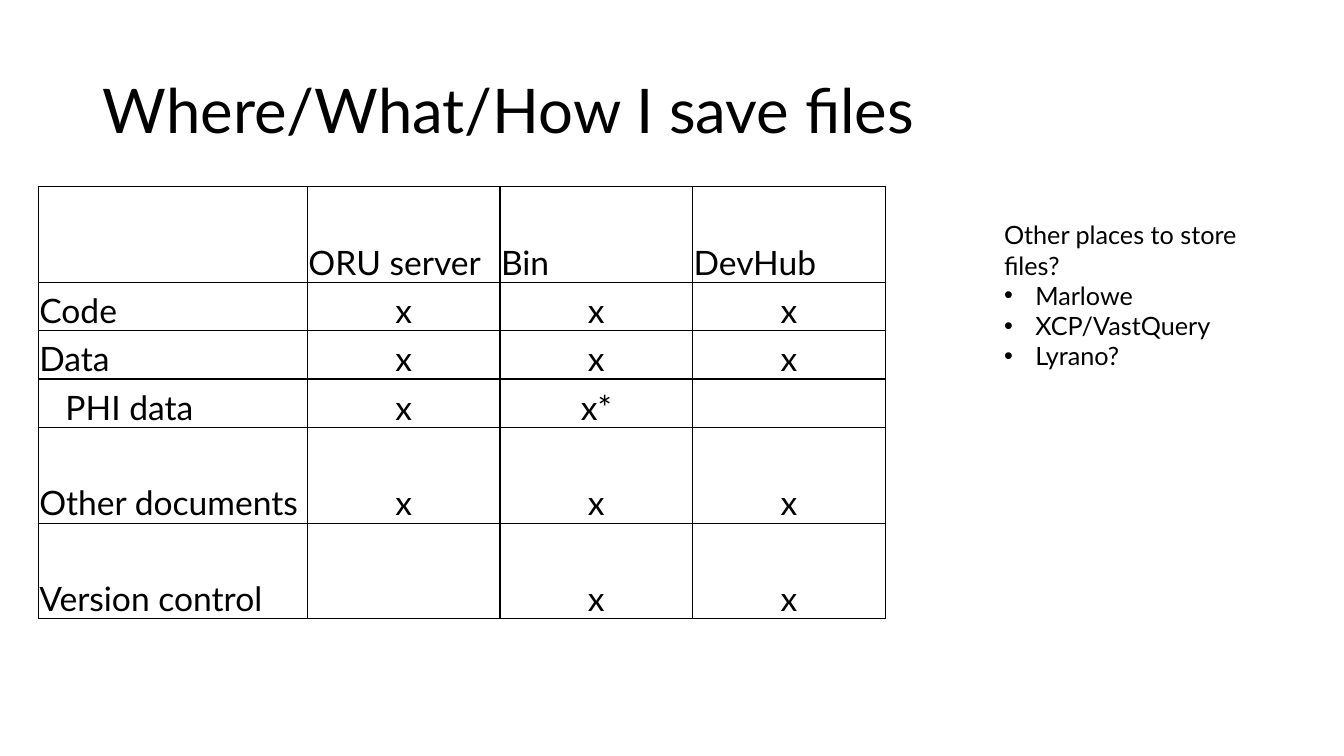
from lxml import etree
from pptx import Presentation
from pptx.dml.color import RGBColor
from pptx.enum import text
from pptx.oxml import ns
from pptx.util import Inches, Pt

BLACK = RGBColor(0x00, 0x00, 0x00)
FONT = "Lato"
COLUMN_WIDTHS = [2.67, 1.91, 1.91, 1.91]
ROW_HEIGHTS = [0.95, 0.48, 0.48, 0.48, 0.95, 0.95]
STORAGE = [
    ["", "ORU server", "Bin", "DevHub"],
    ["Code", "x", "x", "x"],
    ["Data", "x", "x", "x"],
    ["PHI data", "x", "x*", ""],
    ["Other documents", "x", "x", "x"],
    ["Version control", "", "x", "x"],
]
INDENTED_ROW = "PHI data"
OTHER_PLACES = ["Marlowe", "XCP/VastQuery", "Lyrano?"]


def write(paragraph, words, size, align=text.PP_ALIGN.LEFT, spacing=1.0):
    paragraph.alignment = align
    paragraph.line_spacing = spacing
    run = paragraph.add_run()
    run.text = words
    run.font.name = FONT
    run.font.size = Pt(size)
    run.font.color.rgb = BLACK


def add_text_frame(slide, left, top, width, height, anchor=text.MSO_ANCHOR.TOP):
    shape = slide.shapes.add_textbox(
        Inches(left), Inches(top), Inches(width), Inches(height))
    frame = shape.text_frame
    frame.word_wrap = True
    frame.vertical_anchor = anchor
    return frame


def add_bullet(paragraph, indent):
    properties = paragraph._p.get_or_add_pPr()
    properties.set("marL", str(Inches(indent)))
    properties.set("indent", str(-Inches(indent)))
    etree.SubElement(properties, ns.qn("a:buFont"), typeface="Arial")
    etree.SubElement(properties, ns.qn("a:buChar"), char="•")


def add_borders(cell):
    properties = cell._tc.get_or_add_tcPr()
    for position, side in enumerate(("a:lnL", "a:lnR", "a:lnT", "a:lnB")):
        line = etree.Element(ns.qn(side), w=str(Pt(1)))
        fill = etree.SubElement(line, ns.qn("a:solidFill"))
        etree.SubElement(fill, ns.qn("a:srgbClr"), val=str(BLACK))
        properties.insert(position, line)


def format_cell(cell, words, centred):
    cell.fill.background()
    cell.vertical_anchor = text.MSO_ANCHOR.BOTTOM
    cell.margin_left = Inches(0.27 if words == INDENTED_ROW else 0.01)
    cell.margin_right = cell.margin_top = Inches(0.01)
    cell.margin_bottom = Inches(0)
    add_borders(cell)
    if words:
        align = text.PP_ALIGN.CENTER if centred else text.PP_ALIGN.LEFT
        write(cell.text_frame.paragraphs[0], words, 24, align=align)


def add_storage_table(slide):
    table = slide.shapes.add_table(
        len(ROW_HEIGHTS), len(COLUMN_WIDTHS), Inches(0.38), Inches(1.85),
        Inches(sum(COLUMN_WIDTHS)), Inches(sum(ROW_HEIGHTS))).table
    table.first_row = table.horz_banding = False
    for column, width in zip(table.columns, COLUMN_WIDTHS):
        column.width = Inches(width)
    for row, height in zip(table.rows, ROW_HEIGHTS):
        row.height = Inches(height)
    for row, values in enumerate(STORAGE):
        for column, words in enumerate(values):
            format_cell(table.cell(row, column), words, row > 0 and column > 0)


def add_other_places(slide):
    frame = add_text_frame(slide, 9.86, 2.13, 3.11, 1.31)
    frame.margin_right = Inches(0.3)
    write(frame.paragraphs[0], "Other places to store files?", 18)
    for place in OTHER_PLACES:
        paragraph = frame.add_paragraph()
        write(paragraph, place, 18)
        add_bullet(paragraph, 0.31)


def main():
    presentation = Presentation()
    presentation.slide_width = Inches(13.33)
    presentation.slide_height = Inches(7.5)
    slide = presentation.slides.add_slide(presentation.slide_layouts[6])
    title = add_text_frame(slide, 0.92, 0.4, 11.5, 1.45, text.MSO_ANCHOR.MIDDLE)
    write(title.paragraphs[0], "Where/What/How I save files", 44, spacing=0.9)
    add_storage_table(slide)
    add_other_places(slide)
    presentation.save("out.pptx")


if __name__ == "__main__":
    main()
